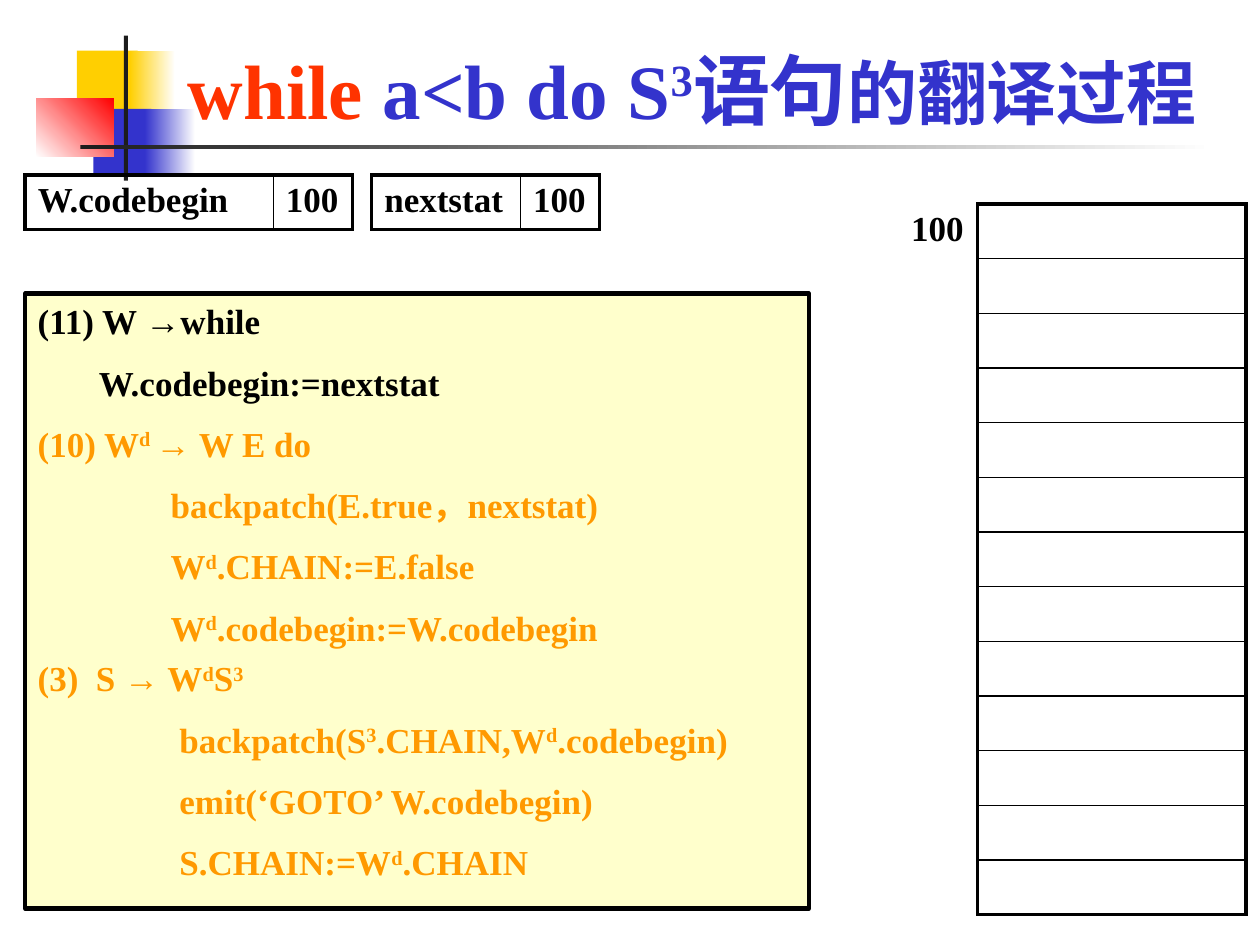
from dataclasses import dataclass

import pptx
import pptx.util
from lxml import etree
from pptx.dml.color import RGBColor
from pptx.enum.shapes import MSO_SHAPE
from pptx.enum.text import MSO_ANCHOR, MSO_AUTO_SIZE, PP_ALIGN
from pptx.oxml.ns import qn

Pt = pptx.util.Pt

COLOURS = {
    "black": "000000",
    "white": "FFFFFF",
    "ink": "1C1C1C",
    "yellow": "FFCF01",
    "blue": "3333CC",
    "red": "FF0000",
    "keyword": "FF3300",
    "orange": "FF9900",
    "cream": "FFFFCC",
}
FONT = "Times New Roman"
THICK, THIN = 2.25, 1
ROW_HEIGHT = 31.2


@dataclass
class Ornament:
    left: float
    top: float
    width: float
    height: float
    start: str
    end: str = ""
    angle: float = 0


@dataclass
class CodeLine:
    text: str
    indent: float = 0
    colour: str = "orange"
    before: float = 11


@dataclass
class Variable:
    name: str
    value: str
    left: float
    name_width: float


ORNAMENTS = [
    Ornament(44, 29, 34.6, 37.4, "yellow"),
    Ornament(74.2, 29, 25.9, 37.4, "yellow", "white"),
    Ornament(53.4, 62.2, 33.1, 37.4, "blue"),
    Ornament(82.8, 62.2, 28.8, 37.4, "blue", "white"),
    Ornament(20.7, 56.2, 44.3, 33.4, "white", "red", 45),
    Ornament(70.8, 20.4, 2.3, 82.8, "ink"),
    Ornament(46, 82.8, 648, 2.2, "ink", "white"),
]

# Superscripts stand between carets.
CODE = [
    CodeLine("(11) W →while", colour="black", before=0),
    CodeLine("W.codebegin:=nextstat", 35, "black"),
    CodeLine("(10) W^d ^→ W E do"),
    CodeLine("backpatch(E.true，nextstat)", 76),
    CodeLine("W^d^.CHAIN:=E.false", 76),
    CodeLine("W^d^.codebegin:=W.codebegin", 76),
    CodeLine("(3)  S → W^d^S^3^", before=5),
    CodeLine("backpatch(S^3^.CHAIN,W^d^.codebegin)", 81),
    CodeLine("emit(‘GOTO’ W.codebegin)", 81),
    CodeLine("S.CHAIN:=W^d^.CHAIN", 81),
]

VARIABLES = [
    Variable("nextstat", "100", 212.4, 85),
    Variable("W.codebegin", "100", 14.4, 141.8),
]


def colour(name: str) -> RGBColor:
    return RGBColor.from_string(COLOURS[name])


def add_text(para, text: str, *, size: float = 20, ink: str = "black") -> None:
    """Add bold text, raising the parts between carets."""
    for index, part in enumerate(text.split("^")):
        if not part:
            continue
        span = para.add_run()
        span.text = part
        span.font.name = FONT
        span.font.size = Pt(size)
        span.font.bold = True
        span.font.color.rgb = colour(ink)
        if index % 2:
            span._r.get_or_add_rPr().set("baseline", "30000")


def add_box(page, left: float, top: float, width: float, height: float):
    box = page.shapes.add_shape(
        MSO_SHAPE.RECTANGLE, Pt(left), Pt(top), Pt(width), Pt(height))
    box.shadow.inherit = False
    box.line.fill.background()
    return box


def add_ornament(page, item: Ornament) -> None:
    box = add_box(page, item.left, item.top, item.width, item.height)
    if not item.end:
        box.fill.solid()
        box.fill.fore_color.rgb = colour(item.start)
        return
    box.fill.gradient()
    box.fill.gradient_angle = item.angle
    for stop, name, position in zip(
            box.fill.gradient_stops, (item.start, item.end), (0, 1)):
        stop.color.rgb = colour(name)
        stop.position = position


def add_title(page) -> None:
    title = page.shapes.title
    title.left, title.top = Pt(87.8), Pt(25.9)
    title.width, title.height = Pt(615.6), Pt(54.7)
    frame = title.text_frame
    frame.auto_size = MSO_AUTO_SIZE.NONE
    frame.vertical_anchor = MSO_ANCHOR.BOTTOM
    para = frame.paragraphs[0]
    para.alignment = PP_ALIGN.CENTER
    add_text(para, "while ", size=44, ink="keyword")
    add_text(para, "a<b do S^3^语句", size=44, ink="blue")
    add_text(para, "的翻译过程", size=40, ink="blue")
    title.element.getparent().append(title.element)  # in front of the ornaments


def format_cell(cell, *, left: float = 0, right: float = 0, top: float = 0,
                bottom: float = 0, fill: str = "") -> None:
    """Set border widths (0 draws none) and the fill."""
    properties = cell._tc.get_or_add_tcPr()
    for side, width in zip("LRTB", (left, right, top, bottom)):
        line = etree.SubElement(properties, qn(f"a:ln{side}"), w=str(Pt(width)))
        if width:
            solid = etree.SubElement(line, qn("a:solidFill"))
            etree.SubElement(solid, qn("a:srgbClr"), val=COLOURS["black"])
        else:
            etree.SubElement(line, qn("a:noFill"))
    if fill:
        cell.fill.solid()
        cell.fill.fore_color.rgb = colour(fill)
    else:
        cell.fill.background()


def add_grid(page, left: float, top: float, widths: list[float], rows: int,
             row_height: float):
    table = page.shapes.add_table(
        rows, len(widths), Pt(left), Pt(top), Pt(sum(widths)),
        Pt(rows * row_height)).table
    table.first_row = table.horz_banding = False
    for column, width in zip(table.columns, widths):
        column.width = Pt(width)
    for row in table.rows:
        row.height = Pt(row_height)
    return table


def add_code_memory(page, rows: int = 13) -> None:
    table = add_grid(page, 513.4, 116.6, [45.3, 153.4], rows, 31.25)
    add_text(table.cell(0, 0).text_frame.paragraphs[0], "100")
    for row in range(rows):
        format_cell(table.cell(row, 0), right=THICK, fill="white")
        format_cell(table.cell(row, 1), left=THICK, right=THICK, fill="white",
                    top=THIN if row else THICK,
                    bottom=THIN if row < rows - 1 else THICK)


def add_variable(page, item: Variable) -> None:
    table = add_grid(page, item.left, 100, [item.name_width, 45.3], 1, ROW_HEIGHT)
    for column, text in enumerate((item.name, item.value)):
        cell = table.cell(0, column)
        add_text(cell.text_frame.paragraphs[0], text)
        format_cell(cell, left=THIN if column else THICK,
                    right=THICK if column else THIN, top=THICK, bottom=THICK)


def add_code(page) -> None:
    box = add_box(page, 14.4, 167.8, 447.8, 351.4)
    box.fill.solid()
    box.fill.fore_color.rgb = colour("cream")
    box.line.color.rgb = colour("black")
    box.line.width = Pt(2.5)
    frame = box.text_frame
    frame.word_wrap = True
    frame.vertical_anchor = MSO_ANCHOR.TOP
    for index, line in enumerate(CODE):
        para = frame.add_paragraph() if index else frame.paragraphs[0]
        para.alignment = PP_ALIGN.LEFT
        para.space_before = Pt(line.before)
        para._p.get_or_add_pPr().set("marL", str(Pt(line.indent)))
        add_text(para, line.text, ink=line.colour)


def main() -> None:
    deck = pptx.Presentation()
    deck.slide_width, deck.slide_height = Pt(720), Pt(540)
    page = deck.slides.add_slide(deck.slide_layouts[5])
    for item in ORNAMENTS:
        add_ornament(page, item)
    add_title(page)
    add_code_memory(page)
    add_code(page)
    for item in VARIABLES:
        add_variable(page, item)
    deck.save("out.pptx")


if __name__ == "__main__":
    main()
